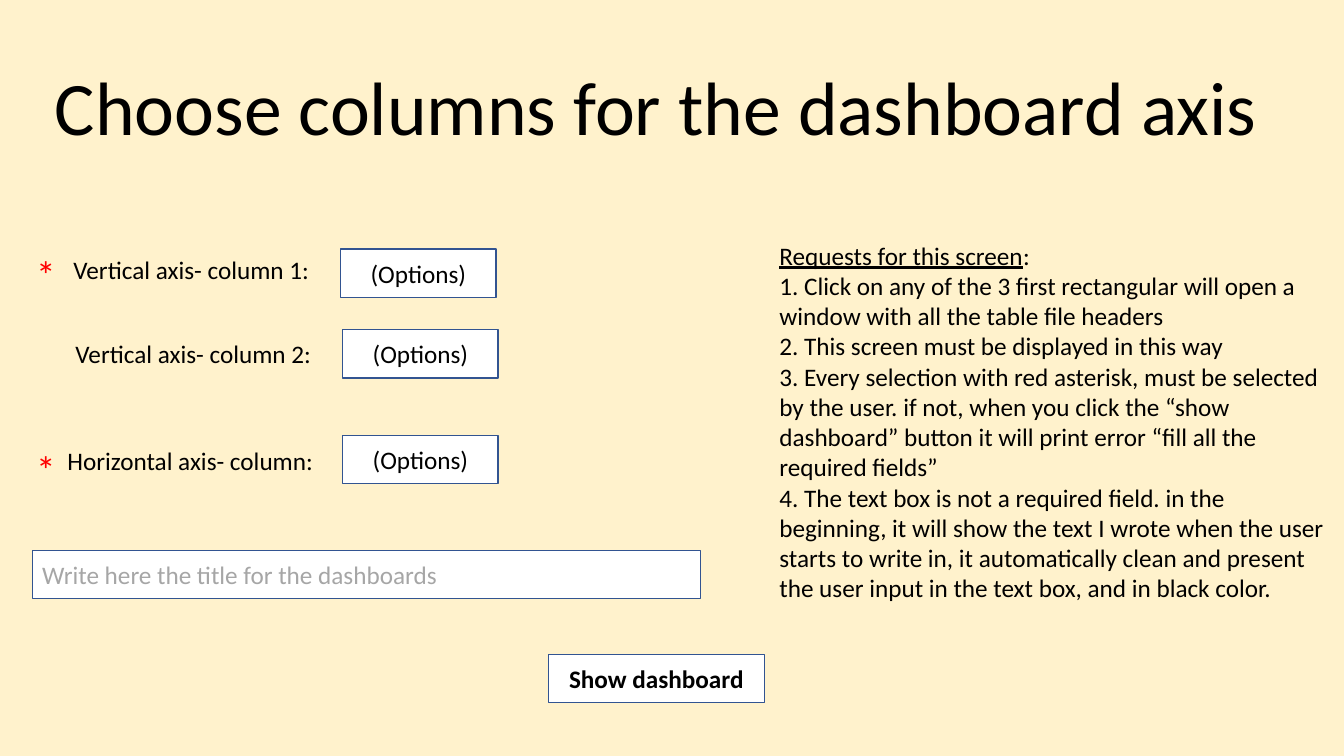
from lxml import etree
from pptx import Presentation
from pptx.dml.color import RGBColor
from pptx.enum.shapes import MSO_SHAPE
from pptx.enum.text import MSO_ANCHOR, MSO_AUTO_SIZE, PP_ALIGN
from pptx.oxml.ns import qn
from pptx.util import Inches, Pt

RECTANGLE = MSO_SHAPE.RECTANGLE
TOP, MIDDLE = MSO_ANCHOR.TOP, MSO_ANCHOR.MIDDLE
NO_AUTOFIT = MSO_AUTO_SIZE.NONE
LEFT, CENTER = PP_ALIGN.LEFT, PP_ALIGN.CENTER

CREAM = RGBColor(0xFF, 0xF2, 0xCC)
WHITE = RGBColor(0xFF, 0xFF, 0xFF)
BLACK = RGBColor(0, 0, 0)
NAVY = RGBColor(0x32, 0x54, 0x91)
GRAY = RGBColor(0xA6, 0xA6, 0xA6)
RED = RGBColor(0xFF, 0, 0)

FIELD_HEIGHT = 0.48
AXIS_ROWS = [
    ("Vertical axis- column 1:", (0.63, 2.47, 2.69, 0.4), (3.38, 2.47)),
    ("Vertical axis- column 2:", (0.65, 3.31, 2.69, 0.4), (3.4, 3.27)),
    ("Horizontal axis- column:", (0.57, 4.37, 2.9, 0.4), (3.4, 4.32)),
]
ASTERISK_TOPS = [2.43, 4.37]
REQUESTS_HEADING = "Requests for this screen"
REQUESTS = [
    "1. Click on any of the 3 first rectangular will open a window with all "
    "the table file headers",
    "2. This screen must be displayed in this way",
    "3. Every selection with red asterisk, must be selected by the user. if not, "
    "when you click the “show dashboard” button it will print error “fill all the "
    "required fields”",
    "4. The text box is not a required field. in the beginning, it will show the "
    "text I wrote when the user starts to write in, it automatically clean and "
    "present the user input in the text box, and in black color.",
]


def place(shape, left, top, width, height):
    box = {"left": left, "top": top, "width": width, "height": height}
    for name, value in box.items():
        setattr(shape, name, Inches(value))


def add_run(paragraph, text, size=18, color=BLACK, **font_format):
    run = paragraph.add_run()
    run.text = text
    values = {"name": "Calibri", "size": Pt(size), **font_format}
    for name, value in values.items():
        setattr(run.font, name, value)
    run.font.color.rgb = color


def format_frame(shape, anchor=TOP, wrap=True):
    frame = shape.text_frame
    values = {"word_wrap": wrap, "vertical_anchor": anchor, "auto_size": NO_AUTOFIT}
    for name, value in values.items():
        setattr(frame, name, value)
    return frame


def write_line(shape, text, alignment=LEFT, anchor=TOP, wrap=True, **font_format):
    paragraph = format_frame(shape, anchor, wrap).paragraphs[0]
    paragraph.alignment = alignment
    add_run(paragraph, text, **font_format)


def add_label(slide, box, text, **text_format):
    shape = slide.shapes.add_textbox(*map(Inches, box))
    write_line(shape, text, **text_format)


def add_field(slide, left, top, width, text, alignment=CENTER, **font_format):
    box = map(Inches, (left, top, width, FIELD_HEIGHT))
    shape = slide.shapes.add_shape(RECTANGLE, *box)
    shape.shadow.inherit = False
    shape.fill.solid()
    shape.fill.fore_color.rgb = WHITE
    shape.line.color.rgb = NAVY
    shape.line.width = Pt(1)
    write_line(shape, text, alignment, MIDDLE, **font_format)


def add_plain_paragraph(frame, index):
    paragraph = frame.add_paragraph() if index else frame.paragraphs[0]
    values = {"alignment": LEFT, "space_before": Pt(0), "line_spacing": 1.0}
    for name, value in values.items():
        setattr(paragraph, name, value)
    properties = paragraph._p.get_or_add_pPr()
    properties.set("marL", "0")
    properties.set("indent", "0")
    etree.SubElement(properties, qn("a:buNone"))
    return paragraph


def fill_requests(body):
    place(body, 7.63, 2.33, 5.65, 3.74)
    frame = format_frame(body)
    heading = add_plain_paragraph(frame, 0)
    add_run(heading, REQUESTS_HEADING, underline=True)
    add_run(heading, ":")
    for index, request in enumerate(REQUESTS, start=1):
        add_run(add_plain_paragraph(frame, index), request)


def main():
    presentation = Presentation()
    presentation.slide_width = Inches(13.33)
    presentation.slide_height = Inches(7.5)
    slide = presentation.slides.add_slide(presentation.slide_layouts[1])
    slide.background.fill.solid()
    slide.background.fill.fore_color.rgb = CREAM

    title = slide.shapes.title
    place(title, 0.32, 0.54, 12.37, 1.01)
    write_line(title, "Choose columns for the dashboard axis", CENTER, wrap=False, size=54)
    fill_requests(slide.placeholders[1])

    for label, label_box, (left, top) in AXIS_ROWS:
        add_label(slide, label_box, label)
        add_field(slide, left, top, 1.54, "(Options)")
    for top in ASTERISK_TOPS:
        add_label(slide, (0.26, top, 0.4, 0.57), "*", wrap=False, size=28, color=RED)
    add_field(slide, 0.32, 5.46, 6.63, "Write here the title for the dashboards", LEFT, color=GRAY)
    add_field(slide, 5.44, 6.49, 2.14, "Show dashboard", bold=True)

    presentation.save("out.pptx")


main()
